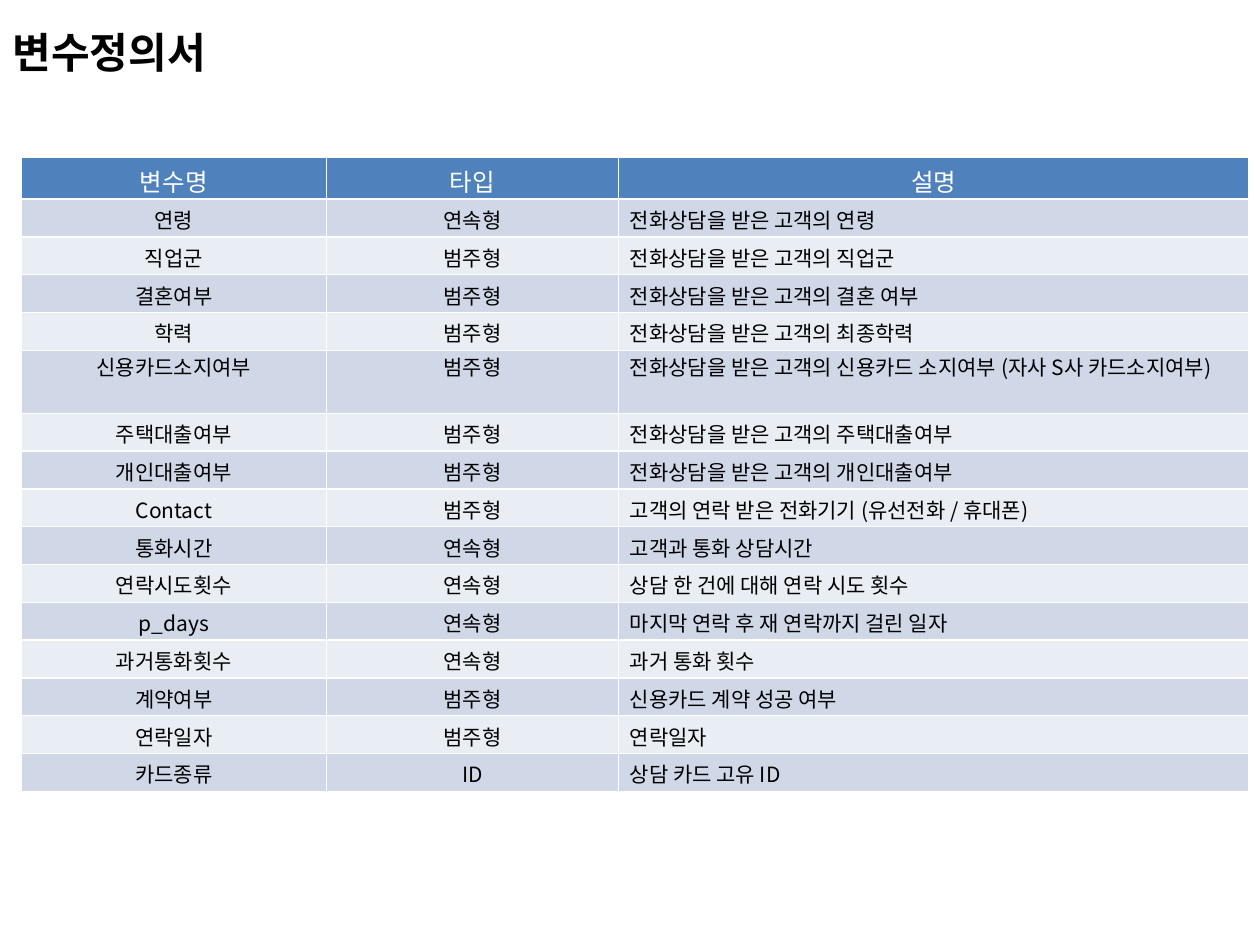
"""Build the variable definition slide with its title and table."""
from pptx import Presentation
from pptx.dml.color import RGBColor
from pptx.enum.text import MSO_ANCHOR, MSO_AUTO_SIZE, PP_ALIGN
from pptx.util import Inches, Pt
from lxml import etree

LEFT, CENTER = PP_ALIGN.LEFT, PP_ALIGN.CENTER
MIDDLE, NO_FIT = MSO_ANCHOR.MIDDLE, MSO_AUTO_SIZE.NONE
FONT = "Noto Sans CJK KR"
A = "{http://schemas.openxmlformats.org/drawingml/2006/main}"


def rgb(value):
    return RGBColor.from_string(value)


def style(p, size, color, align, bold=False):
    p.alignment = align
    p.font.size = Pt(size)
    p.font.bold = bold
    p.font.color.rgb = rgb(color)
    p.font.name = FONT
    latin = p._p.find(f"{A}pPr/{A}defRPr/{A}latin")
    latin.addnext(etree.Element(f"{A}ea", typeface=FONT))
    for r in p.runs:
        r.font.size = Pt(size)
        r.font.bold = bold
        r.font.color.rgb = rgb(color)
        r.font.name = FONT
        latin = r._r.find(f"{A}rPr/{A}latin")
        latin.addnext(etree.Element(f"{A}ea", typeface=FONT))


rows = [
    ("변수명", "타입", "설명"),
    ("연령", "연속형", "전화상담을 받은 고객의 연령"),
    ("직업군", "범주형", "전화상담을 받은 고객의 직업군"),
    ("결혼여부", "범주형", "전화상담을 받은 고객의 결혼 여부"),
    ("학력", "범주형", "전화상담을 받은 고객의 최종학력"),
    ("신용카드소지여부", "범주형",
     "전화상담을 받은 고객의 신용카드 소지여부 (자사 S사 카드소지여부)"),
    ("주택대출여부", "범주형", "전화상담을 받은 고객의 주택대출여부"),
    ("개인대출여부", "범주형", "전화상담을 받은 고객의 개인대출여부"),
    ("Contact", "범주형", "고객의 연락 받은 전화기기 (유선전화 / 휴대폰)"),
    ("통화시간", "연속형", "고객과 통화 상담시간"),
    ("연락시도횟수", "연속형", "상담 한 건에 대해 연락 시도 횟수"),
    ("p_days", "연속형", "마지막 연락 후 재 연락까지 걸린 일자"),
    ("과거통화횟수", "연속형", "과거 통화 횟수"),
    ("계약여부", "범주형", "신용카드 계약 성공 여부"),
    ("연락일자", "범주형", "연락일자"),
    ("카드종류", "ID", "상담 카드 고유 ID"),
]
col_widths = [2.42, 2.32, 5]
HEADER_ROW, WRAPPED_ROW = 0, 5
row_heights = [0.3] * len(rows)
row_heights[HEADER_ROW] = 0.33
row_heights[WRAPPED_ROW] = 0.5

prs = Presentation()
prs.slide_width, prs.slide_height = Inches(10), Inches(7.5)
s = prs.slides.add_slide(prs.slide_layouts[5])

title = s.shapes.title
title.left, title.top = Inches(0), Inches(0.16)
title.width, title.height = Inches(7.6), Inches(0.5)
tf = title.text_frame
tf.text = "변수정의서"
tf.auto_size = NO_FIT
tf.vertical_anchor = MIDDLE
style(tf.paragraphs[0], 24, "000000", LEFT, bold=True)

table = s.shapes.add_table(
    len(rows), len(col_widths), Inches(0.17), Inches(1.25),
    Inches(sum(col_widths)), Inches(sum(row_heights))).table
for column, width in zip(table.columns, col_widths):
    column.width = Inches(width)

for i, (texts, height) in enumerate(zip(rows, row_heights)):
    header = i == HEADER_ROW
    table.rows[i].height = Inches(height)
    fill = "4F81BD" if header else "D0D8E8" if i % 2 else "E9EDF4"
    for j, text in enumerate(texts):
        cell = table.cell(i, j)
        cell.text = text
        cell.margin_left = cell.margin_right = Inches(0.09)
        cell.margin_top = Inches(0.01 if i == WRAPPED_ROW else 0.04)
        cell.margin_bottom = 0
        cell.fill.solid()
        cell.fill.fore_color.rgb = rgb(fill)
        style(cell.text_frame.paragraphs[0], 14 if header else 12,
              "FFFFFF" if header else "000000",
              CENTER if header or j < 2 else LEFT)

prs.save("out.pptx")
